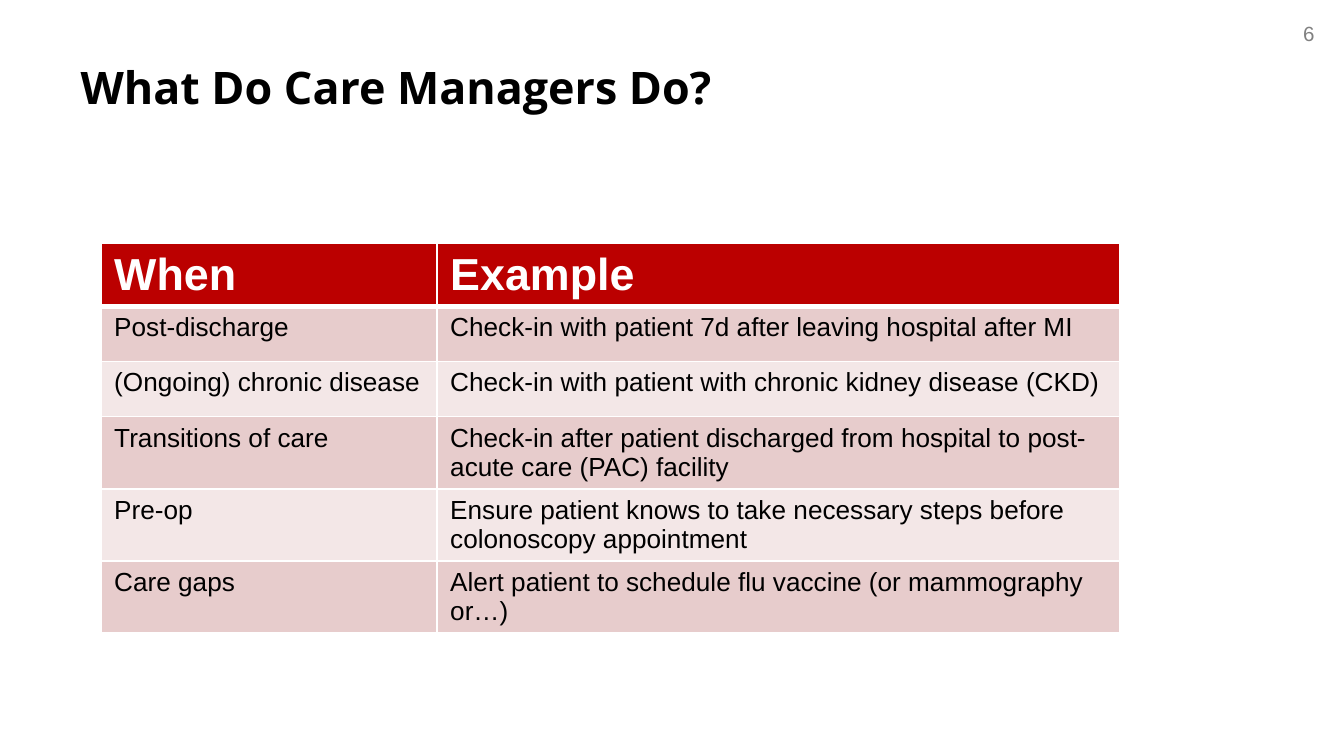
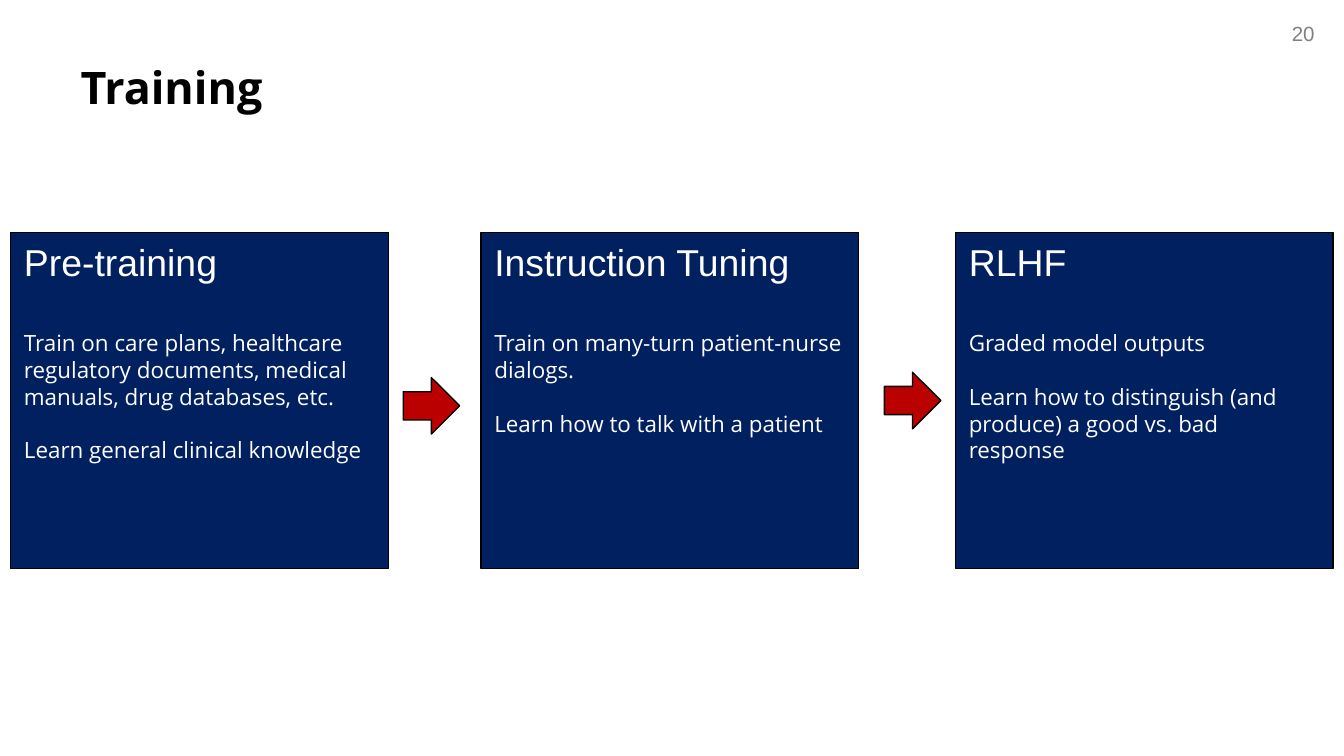
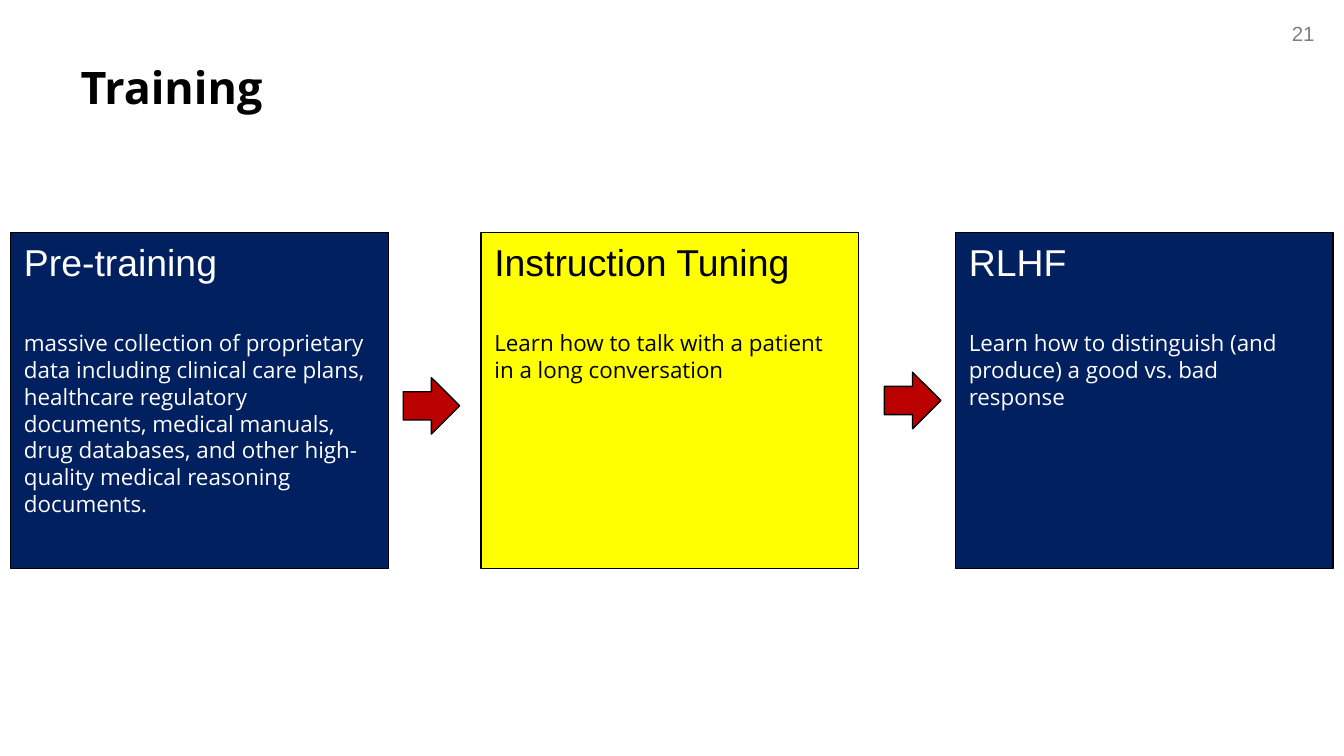
from dataclasses import dataclass

from lxml import etree
from pptx import Presentation
from pptx.dml.color import RGBColor
from pptx.enum.shapes import MSO_SHAPE
from pptx.enum.text import MSO_ANCHOR, PP_ALIGN
from pptx.oxml.ns import qn
from pptx.util import Inches, Pt

RECTANGLE = MSO_SHAPE.RECTANGLE
RIGHT_ARROW = MSO_SHAPE.RIGHT_ARROW
TOP = MSO_ANCHOR.TOP
LEFT, RIGHT = PP_ALIGN.LEFT, PP_ALIGN.RIGHT
TITLE_ONLY = 5


@dataclass(frozen=True)
class Theme:
    black: str = "000000"
    white: str = "FFFFFF"
    gray: str = "808080"
    red: str = "BB0000"
    navy: str = "002060"
    yellow: str = "FFFF00"
    bands: tuple = ("E7CCCC", "F3E7E7")
    plain_font: str = "Arial"
    text_font: str = "Open Sans"
    title_size: int = 24
    stage_size: int = 20
    cell_size: int = 14
    body_size: int = 12
    number_size: int = 11
    title_line: float = 28.4
    body_line: float = 14.35
    stage_gap: float = 24.5
    outline: float = 0.75


THEME = Theme()

# Content
CARE_TITLE = "What Do Care Managers Do?"
CARE_ROWS = [
    ("When", "Example"),
    ("Post-discharge", "Check-in with patient 7d after leaving hospital after MI"),
    ("(Ongoing) chronic disease", "Check-in with patient with chronic kidney disease (CKD)"),
    ("Transitions of care",
     "Check-in after patient discharged from hospital to post-acute care (PAC) facility"),
    ("Pre-op", "Ensure patient knows to take necessary steps before colonoscopy appointment"),
    ("Care gaps", "Alert patient to schedule flu vaccine (or mammography or…)"),
]
TRAINING_TITLE = "Training"
STAGES = ("Pre-training", "Instruction Tuning", "RLHF")
# Each training page: number, highlighted stage, paragraphs per stage
TRAINING_PAGES = [
    (20, None, [
        ["Train on care plans, healthcare regulatory documents, medical manuals, "
         "drug databases, etc.",
         "Learn general clinical knowledge"],
        ["Train on many-turn patient-nurse dialogs.",
         "Learn how to talk with a patient"],
        ["Graded model outputs",
         "Learn how to distinguish (and produce) a good vs. bad response"],
    ]),
    (21, "Instruction Tuning", [
        ["massive collection of proprietary data including clinical care plans, "
         "healthcare regulatory documents, medical manuals, drug databases, and "
         "other high-quality medical reasoning documents."],
        ["Learn how to talk with a patient in a long conversation"],
        ["Learn how to distinguish (and produce) a good vs. bad response"],
    ]),
]

# Places, in inches
PAGE_WIDTH = 10
PAGE_HEIGHT = PAGE_WIDTH * 9 / 16
TITLE_PLACE = (0.5, 0.4, 9, 0.67)
NUMBER_PLACE = (9.33, 0.11, 0.55, 0.29)
TABLE_CORNER = (0.75, 1.81)
COLUMN_WIDTHS = (2.5, 5.08)
ROW_HEIGHT = 0.41
CELL_BOTTOM = 0.02
STAGE_LEFTS = (0.08, 3.58, 7.11)
STAGE_TOP, STAGE_WIDTH, STAGE_HEIGHT = 1.73, 2.81, 2.5
ARROW_CORNERS = ((3, 2.81), (6.58, 2.77))
ARROW_SIDE = 0.42


def inches(*lengths):
    return [Inches(length) for length in lengths]


def color(code):
    return RGBColor.from_string(code)


def style(para, font, size, code, bold=False, align=LEFT):
    para.alignment = align
    for span in para.runs:
        span.font.name = font
        span.font.size = Pt(size)
        span.font.bold = bold
        span.font.color.rgb = color(code)


def add_page(deck, title, number):
    """Start a page with the shared title and page number."""
    page = deck.slides.add_slide(deck.slide_layouts[TITLE_ONLY])
    box = page.shapes.title
    box.left, box.top, box.width, box.height = inches(*TITLE_PLACE)
    frame = box.text_frame
    frame.text = title
    frame.vertical_anchor = TOP
    para = frame.paragraphs[0]
    para.line_spacing = Pt(THEME.title_line)
    style(para, THEME.text_font, THEME.title_size, THEME.black, bold=True)

    frame = page.shapes.add_textbox(*inches(*NUMBER_PLACE)).text_frame
    frame.word_wrap = True
    frame.text = str(number)
    style(frame.paragraphs[0], THEME.plain_font, THEME.number_size, THEME.gray, align=RIGHT)
    return page


def add_filled(page, kind, place, fill):
    shape = page.shapes.add_shape(kind, *inches(*place))
    shape.shadow.inherit = False
    shape.fill.solid()
    shape.fill.fore_color.rgb = color(fill)
    shape.line.color.rgb = color(THEME.black)
    shape.line.width = Pt(THEME.outline)
    return shape


def set_borders(cell, top, bottom):
    """Draw white cell borders; widths are in points."""
    properties = cell._tc.get_or_add_tcPr()
    widths = {"a:lnL": 1, "a:lnR": 1, "a:lnT": top, "a:lnB": bottom}
    for position, (tag, width) in enumerate(widths.items()):
        line = etree.Element(qn(tag), w=str(Pt(width)))
        fill = etree.SubElement(line, qn("a:solidFill"))
        etree.SubElement(fill, qn("a:srgbClr"), val=THEME.white)
        properties.insert(position, line)


def add_care_table(page):
    size = (sum(COLUMN_WIDTHS), ROW_HEIGHT * len(CARE_ROWS))
    table = page.shapes.add_table(
        len(CARE_ROWS), len(COLUMN_WIDTHS), *inches(*TABLE_CORNER, *size)).table
    for column, width in zip(table.columns, COLUMN_WIDTHS):
        column.width = Inches(width)
    for row, texts in enumerate(CARE_ROWS):
        header = row == 0
        table.rows[row].height = Inches(ROW_HEIGHT)
        for column, text in enumerate(texts):
            cell = table.cell(row, column)
            cell.text = text
            cell.margin_bottom = Inches(CELL_BOTTOM)
            cell.fill.solid()
            cell.fill.fore_color.rgb = color(THEME.red if header else THEME.bands[(row - 1) % 2])
            set_borders(cell, top=3 if row == 1 else 1, bottom=3 if header else 1)
            style(cell.text_frame.paragraphs[0], THEME.plain_font,
                  THEME.title_size if header else THEME.cell_size,
                  THEME.white if header else THEME.black, bold=header)


def add_stage(page, left, name, details, highlighted):
    fill = THEME.yellow if highlighted else THEME.navy
    ink = THEME.black if highlighted else THEME.white
    box = add_filled(page, RECTANGLE, (left, STAGE_TOP, STAGE_WIDTH, STAGE_HEIGHT), fill)
    frame = box.text_frame
    frame.word_wrap = True
    frame.vertical_anchor = TOP
    frame.text = "\n".join([name, *details])
    heading, *body = frame.paragraphs
    style(heading, THEME.plain_font, THEME.stage_size, ink)
    for index, para in enumerate(body):
        para.line_spacing = Pt(THEME.body_line)
        para.space_before = Pt(THEME.body_line if index else THEME.stage_gap)
        style(para, THEME.text_font, THEME.body_size, ink)


def main():
    deck = Presentation()
    deck.slide_width, deck.slide_height = inches(PAGE_WIDTH, PAGE_HEIGHT)

    # Care manager table
    add_care_table(add_page(deck, CARE_TITLE, 6))

    # Training stages
    for number, highlight, details in TRAINING_PAGES:
        page = add_page(deck, TRAINING_TITLE, number)
        for left, name, paragraphs in zip(STAGE_LEFTS, STAGES, details):
            add_stage(page, left, name, paragraphs, name == highlight)
        for corner in ARROW_CORNERS:
            add_filled(page, RIGHT_ARROW, (*corner, ARROW_SIDE, ARROW_SIDE), THEME.red)

    deck.save("out.pptx")


if __name__ == "__main__":
    main()
